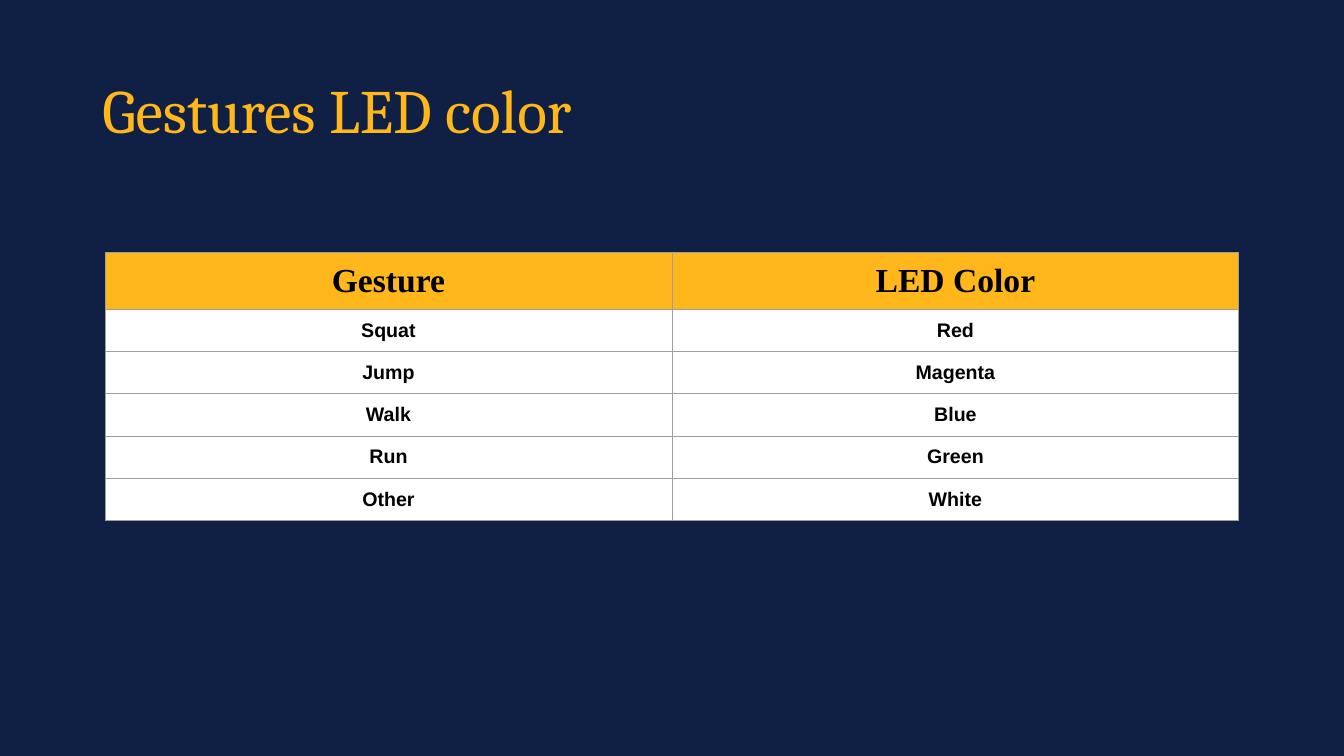
from lxml import etree
from pptx import Presentation
from pptx import util as u
from pptx.dml.color import RGBColor
from pptx.enum import text
from pptx.oxml import ns

NAVY = RGBColor(0x0F, 0x20, 0x44)
GOLD = RGBColor(0xFF, 0xB7, 0x1B)
GRAY = RGBColor(0x9E, 0x9E, 0x9E)
BLACK = RGBColor(0, 0, 0)
WHITE = RGBColor(0xFF, 0xFF, 0xFF)

COLUMNS, ROWS = 160, 90
GESTURES = [
    ("Gesture", "LED Color"),
    ("Squat", "Red"),
    ("Jump", "Magenta"),
    ("Walk", "Blue"),
    ("Run", "Green"),
    ("Other", "White"),
]


def write(frame, words, font, size, color, bold=False,
          align=text.PP_ALIGN.LEFT, spacing=1.0):
    para = frame.paragraphs[0]
    para.alignment = align
    para.line_spacing = spacing
    span = para.add_run()
    span.text = words
    span.font.name = font
    span.font.size = u.Pt(size)
    span.font.bold = bold
    span.font.color.rgb = color


class GesturePage:
    heading = dict(font="Cambria", size=44, color=GOLD, spacing=0.9)
    header = dict(font="Times New Roman", size=24, color=BLACK, bold=True)
    entry = dict(font="Arial", size=14, color=BLACK, bold=True)

    def __init__(self, deck):
        self.column = deck.slide_width / COLUMNS
        self.row = deck.slide_height / ROWS
        self.page = deck.slides.add_slide(deck.slide_layouts[5])
        self.page.background.fill.solid()
        self.page.background.fill.fore_color.rgb = NAVY

    def place(self, left, top, width, height):
        return (round(left * self.column), round(top * self.row),
                round(width * self.column), round(height * self.row))

    def title(self, words, *area):
        box = self.page.shapes.title
        box.left, box.top, box.width, box.height = self.place(*area)
        frame = box.text_frame
        frame.word_wrap = True
        frame.auto_size = text.MSO_AUTO_SIZE.NONE
        frame.vertical_anchor = text.MSO_ANCHOR.MIDDLE
        write(frame, words, **self.heading)

    def table(self, records, left, top, width, row_height):
        area = self.place(left, top, width, row_height * len(records))
        table = self.page.shapes.add_table(len(records), len(records[0]), *area).table
        for index, record in enumerate(records):
            fill, style = (WHITE, self.entry) if index else (GOLD, self.header)
            for position, words in enumerate(record):
                self.cell(table.cell(index, position), words, fill, style)

    def cell(self, cell, words, fill, style):
        cell.margin_left = cell.margin_right = u.Inches(0.1)
        cell.margin_top = cell.margin_bottom = u.Inches(0.1)
        cell.vertical_anchor = text.MSO_ANCHOR.TOP
        self.border(cell)
        cell.fill.solid()
        cell.fill.fore_color.rgb = fill
        write(cell.text_frame, words, align=text.PP_ALIGN.CENTER, **style)

    def border(self, cell):
        properties = cell._tc.get_or_add_tcPr()
        for side in ("a:lnL", "a:lnR", "a:lnT", "a:lnB"):
            line = etree.SubElement(properties, ns.qn(side), w=str(u.Pt(0.75)))
            solid = etree.SubElement(line, ns.qn("a:solidFill"))
            etree.SubElement(solid, ns.qn("a:srgbClr"), val=str(GRAY))


def main():
    deck = Presentation()
    deck.slide_width, deck.slide_height = u.Inches(13.33), u.Inches(7.5)
    page = GesturePage(deck)
    page.title("Gestures LED color", 11, 4.8, 138, 17.4)
    page.table(GESTURES, left=12.5, top=30, width=135, row_height=5)
    deck.save("out.pptx")


if __name__ == "__main__":
    main()
